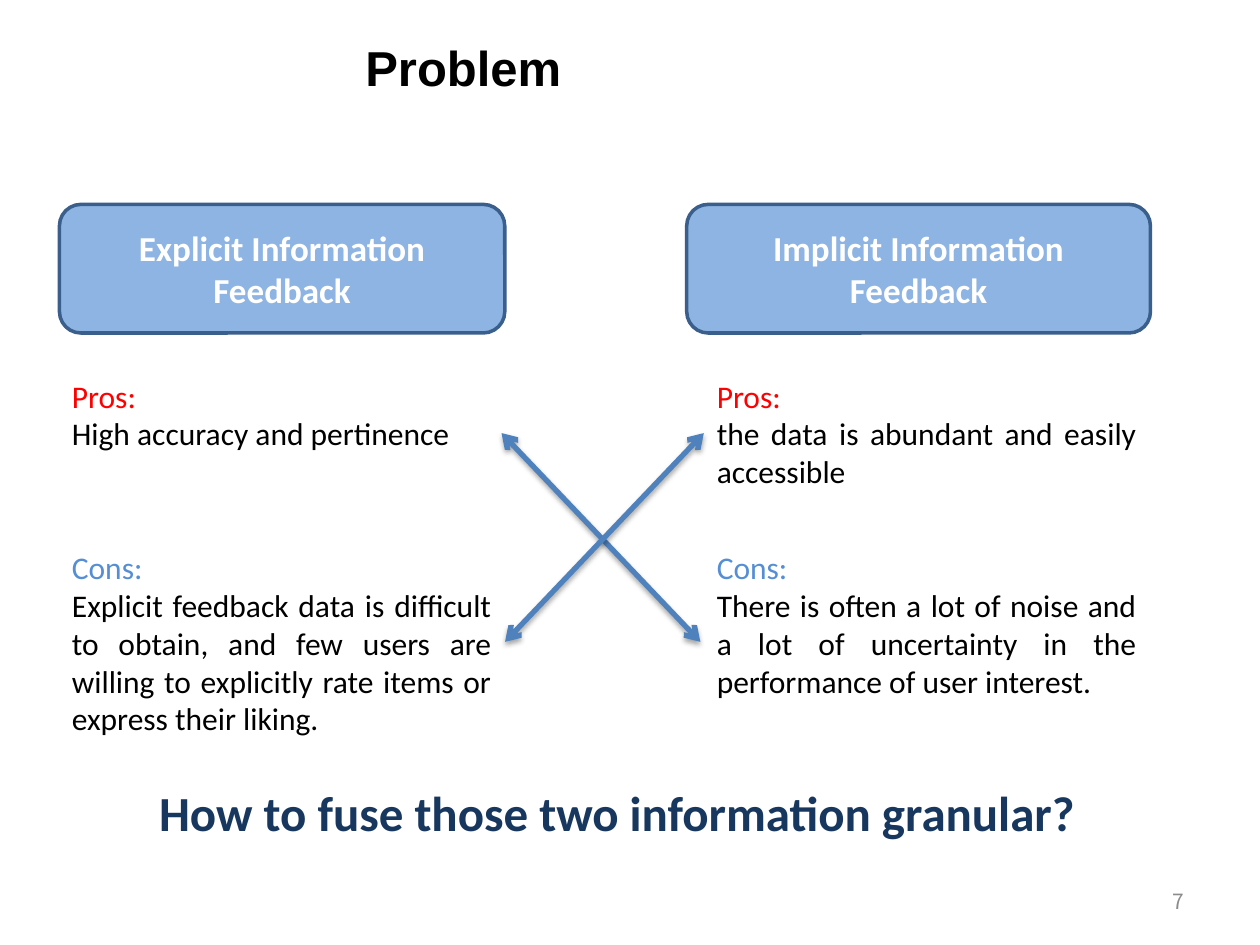
from dataclasses import dataclass

from lxml import etree
from pptx import Presentation
from pptx.dml.color import RGBColor
from pptx.enum.shapes import MSO_CONNECTOR, MSO_SHAPE
from pptx.enum.text import MSO_ANCHOR, MSO_AUTO_SIZE, PP_ALIGN
from pptx.oxml import parse_xml
from pptx.oxml.ns import nsdecls, qn
from pptx.util import Pt

LEFT, CENTER, RIGHT, JUSTIFY = (
    PP_ALIGN.LEFT, PP_ALIGN.CENTER, PP_ALIGN.RIGHT, PP_ALIGN.JUSTIFY)
TOP, MIDDLE = MSO_ANCHOR.TOP, MSO_ANCHOR.MIDDLE
GROW, FIXED = MSO_AUTO_SIZE.SHAPE_TO_FIT_TEXT, MSO_AUTO_SIZE.NONE
ROUNDED = MSO_SHAPE.ROUNDED_RECTANGLE
STRAIGHT = MSO_CONNECTOR.STRAIGHT


@dataclass(frozen=True)
class Theme:
    heading_font: str = "Arial"
    body_font: str = "Calibri"
    number_font: str = "Noto Sans CJK SC"
    heading_size: int = 28
    card_size: int = 20
    body_size: int = 18
    number_size: int = 12
    black: str = "000000"
    white: str = "FFFFFF"
    card_fill: str = "8EB4E3"
    card_line: str = "3A5F8C"
    pros: str = "FF0000"
    cons: str = "558ED5"
    question: str = "17375E"
    number: str = "8C8C8C"
    arrow: str = "4F81BD"


THEME = Theme()


def points(*lengths):
    return [Pt(length) for length in lengths]


def write(shape, lines, size, font=THEME.body_font, bold=False, anchor=TOP,
          wrap=True, auto_size=FIXED):
    """Fill a shape with lines given as (text, colour, alignment)."""
    frame = shape.text_frame
    frame_format = {"word_wrap": wrap, "auto_size": auto_size, "vertical_anchor": anchor}
    for name, value in frame_format.items():
        setattr(frame, name, value)
    for index, (text, colour, alignment) in enumerate(lines):
        paragraph = frame.add_paragraph() if index else frame.paragraphs[0]
        paragraph.alignment = alignment
        run = paragraph.add_run()
        run.text = text
        for name, value in {"name": font, "size": Pt(size), "bold": bold}.items():
            setattr(run.font, name, value)
        run.font.color.rgb = RGBColor.from_string(colour)


def add_title(slide, box, text):
    title = slide.shapes.title
    for name, value in zip(("left", "top", "width", "height"), points(*box)):
        setattr(title, name, value)
    write(title, [(text, THEME.black, LEFT)], THEME.heading_size,
          THEME.heading_font, bold=True, anchor=MIDDLE)


def add_card(slide, box, text):
    card = slide.shapes.add_shape(ROUNDED, *points(*box))
    card.shadow.inherit = False
    card.fill.solid()
    card.fill.fore_color.rgb = RGBColor.from_string(THEME.card_fill)
    card.line.color.rgb = RGBColor.from_string(THEME.card_line)
    card.line.width = Pt(2)
    write(card, [(text, THEME.white, CENTER)], THEME.card_size, bold=True, anchor=MIDDLE)


def add_arguments(slide, box, pros, cons):
    """Stack the pros and the cons of one kind of feedback in the box."""
    left, top, width, height = box
    cons_offset = 98
    parts = (
        ("Pros:", THEME.pros, pros, top, cons_offset),
        ("Cons:", THEME.cons, cons, top + cons_offset, height - cons_offset),
    )
    for label, colour, text, part_top, part_height in parts:
        textbox = slide.shapes.add_textbox(*points(left, part_top, width, part_height))
        write(textbox, [(label, colour, LEFT), (text, THEME.black, JUSTIFY)],
              THEME.body_size, auto_size=GROW)


def add_cross(slide, box):
    """Draw two crossing double-headed arrows along the diagonals of the box."""
    left, top, width, height = box
    right, bottom = left + width, top + height
    # The rising arrow sits slightly to the right of the falling one
    for ends in ((left, top, right - 2, bottom), (left + 2, bottom, right, top)):
        arrow = slide.shapes.add_connector(STRAIGHT, *points(*ends))
        arrow.line.color.rgb = RGBColor.from_string(THEME.arrow)
        arrow.line.width = Pt(3)
        line = arrow.line._get_or_add_ln()
        for tag in ("a:headEnd", "a:tailEnd"):
            etree.SubElement(line, qn(tag), type="arrow")
        arrow._element.spPr.append(parse_xml(
            f'<a:effectLst {nsdecls("a")}>'
            f'<a:outerShdw blurRad="{Pt(3.1)}" dist="{Pt(1.8)}" dir="5400000" rotWithShape="0">'
            f'<a:srgbClr val="{THEME.black}"><a:alpha val="35000"/></a:srgbClr>'
            '</a:outerShdw></a:effectLst>'))


def add_question(slide, box, text):
    question = slide.shapes.add_textbox(*points(*box))
    write(question, [(text, THEME.question, CENTER)], THEME.heading_size,
          bold=True, wrap=False, auto_size=GROW)


def add_page_number(slide, box, text):
    number = slide.shapes.add_textbox(*points(*box))
    write(number, [(text, THEME.number, RIGHT)], THEME.number_size,
          THEME.number_font, anchor=MIDDLE)


def main():
    presentation = Presentation()
    presentation.slide_width, presentation.slide_height = points(720, 540)
    slide = presentation.slides.add_slide(presentation.slide_layouts[5])

    add_title(slide, (201.6, 15.1, 542, 46), "Problem")

    # Explicit feedback on the left, implicit feedback on the right
    add_card(slide, (34, 116.8, 254.5, 73.5), "Explicit Information Feedback")
    add_arguments(
        slide, (34, 211.7, 254, 214), "High accuracy and pertinence",
        "Explicit feedback data is difficult to obtain, and few users are "
        "willing to explicitly rate items or express their liking.")
    add_card(slide, (392.4, 116.8, 265, 73.5), "Implicit Information Feedback")
    add_arguments(
        slide, (402.5, 211.7, 254, 192), "the data is abundant and easily accessible",
        "There is often a lot of noise and a lot of uncertainty in the "
        "performance of user interest.")

    add_cross(slide, (286.6, 247.5, 115.6, 119.3))
    add_question(slide, (80.6, 443.5, 543.6, 41),
                 "How to fuse those two information granular?")
    add_page_number(slide, (516, 500.5, 168, 28.8), "7")

    presentation.save("out.pptx")


if __name__ == "__main__":
    main()
